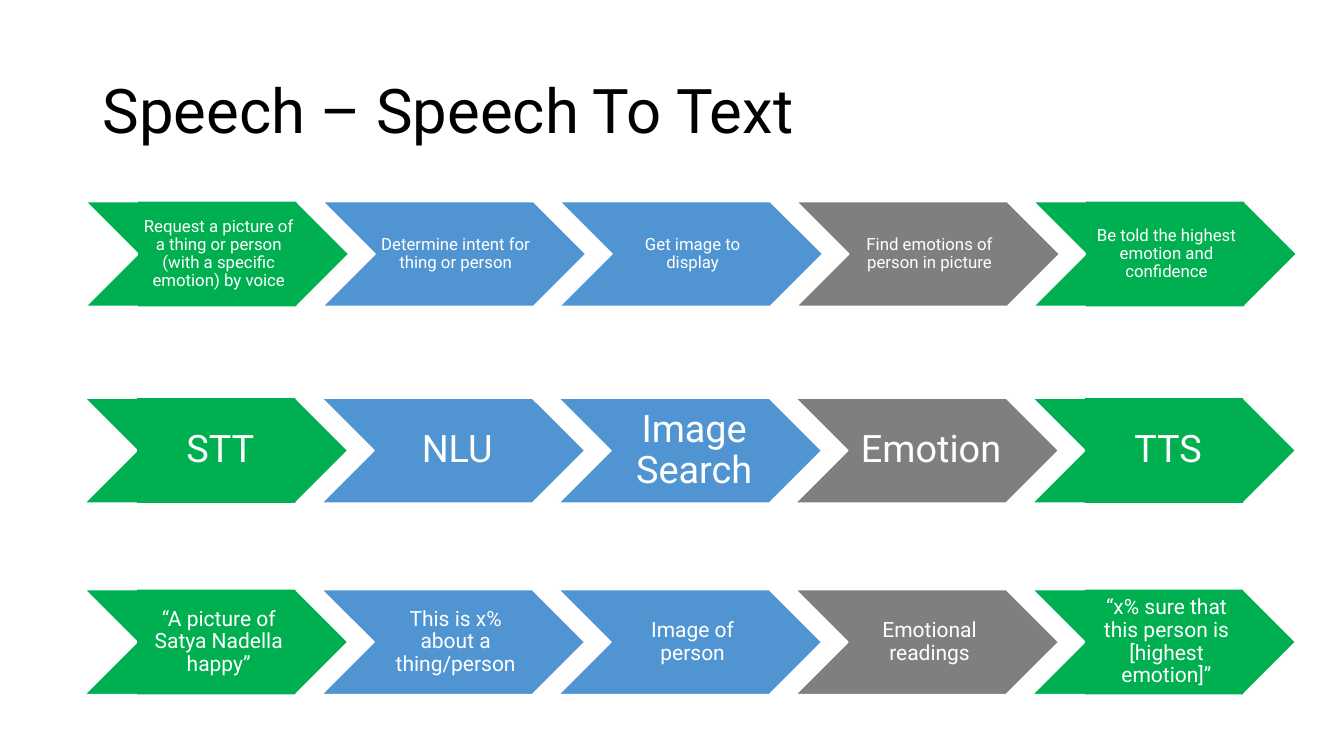
from pptx import Presentation
from pptx.dml.color import RGBColor
from pptx.enum.shapes import MSO_SHAPE
from pptx.enum.text import MSO_ANCHOR, MSO_AUTO_SIZE, PP_ALIGN
from pptx.util import Inches, Pt

CHEVRON = MSO_SHAPE.CHEVRON
RECT = MSO_SHAPE.RECTANGLE
MIDDLE = MSO_ANCHOR.MIDDLE
FIXED = MSO_AUTO_SIZE.NONE
LEFT = PP_ALIGN.LEFT
CENTER = PP_ALIGN.CENTER

HUES = {
    "green": "00B050",
    "blue": "5095D1",
    "gray": "7F7F7F",
    "white": "FFFFFF",
    "black": "000000",
}
FONT = "Roboto"
STEP = 2.35
WIDE, HIGH = 2.61, 1.04
INSET, INNER = 0.52, 1.57

STAGES = ["green", "blue", "blue", "gray", "green"]
ROWS = [
    (0.85, 2.0, 12, 0.05, 0.02, [
        "Request a picture of a thing or person (with a specific emotion) by voice",
        "Determine intent for thing or person",
        "Get image to display",
        "Find emotions of person in picture",
        "Be told the highest emotion and confidence",
    ]),
    (0.84, 3.95, 27, 0.12, 0.04,
     ["STT", "NLU", "Image Search", "Emotion", "TTS"]),
    (0.84, 5.85, 15, 0.07, 0.02, [
        "“A picture of Satya Nadella happy”",
        "This is x% about a thing/person",
        "Image of person",
        "Emotional readings",
        "“x% sure that this person is [highest emotion]”",
    ]),
]


def box(left, top, width, height):
    return [Inches(n) for n in (left, top, width, height)]


def tint(hue):
    return RGBColor.from_string(HUES[hue])


def write(frame, text, size, hue="white", align=CENTER, pads=None):
    frame.word_wrap = True
    frame.auto_size = FIXED
    frame.vertical_anchor = MIDDLE
    if pads:
        frame.margin_left = Inches(pads[0])
        frame.margin_top = frame.margin_right = frame.margin_bottom = Inches(pads[1])
    line = frame.paragraphs[0]
    line.alignment = align
    line.line_spacing = 0.9
    run = line.add_run()
    run.text = text
    run.font.name = FONT
    run.font.size = Pt(size)
    run.font.color.rgb = tint(hue)


class Deck:
    def __init__(self):
        self.file = Presentation()
        self.file.slide_width = Inches(13.33)
        self.file.slide_height = Inches(7.5)
        self.slide = self.file.slides.add_slide(self.file.slide_layouts[5])

    def title(self, text):
        head = self.slide.shapes.title
        head.left, head.top, head.width, head.height = box(0.92, 0.4, 11.5, 1.45)
        write(head.text_frame, text, size=44, hue="black", align=LEFT)

    def shape(self, group, kind, place, hue):
        item = group.shapes.add_shape(kind, *place)
        item.shadow.inherit = False
        item.fill.solid()
        item.fill.fore_color.rgb = tint(hue)
        item.line.fill.background()
        return item

    def stage(self, left, top, text, hue, size, pads):
        group = self.slide.shapes.add_group_shape()
        arrow = self.shape(group, CHEVRON, box(left, top, WIDE, HIGH), hue)
        arrow.line.color.rgb = tint("white")
        arrow.line.width = Pt(1)
        place = box(left + INSET, top, INNER, HIGH)
        if hue == "green":
            label = self.shape(group, RECT, place, hue)
        else:
            label = group.shapes.add_textbox(*place)
        write(label.text_frame, text, size=size, pads=pads)

    def row(self, left, top, size, lead, pad, texts):
        for i, (text, hue) in enumerate(zip(texts, STAGES)):
            self.stage(left + i * STEP, top, text, hue, size, (lead, pad))


def main():
    deck = Deck()
    deck.title("Speech – Speech To Text")
    for row in ROWS:
        deck.row(*row)
    deck.file.save("out.pptx")


if __name__ == "__main__":
    main()
